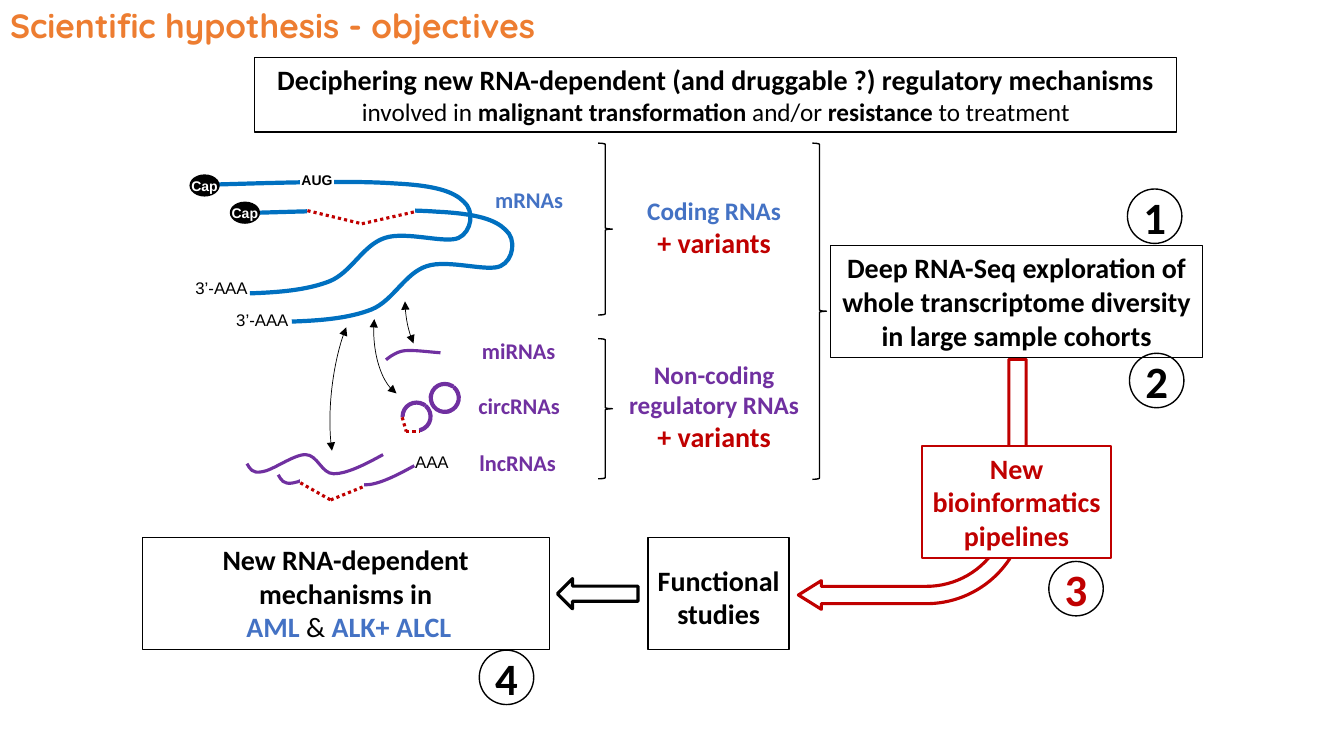
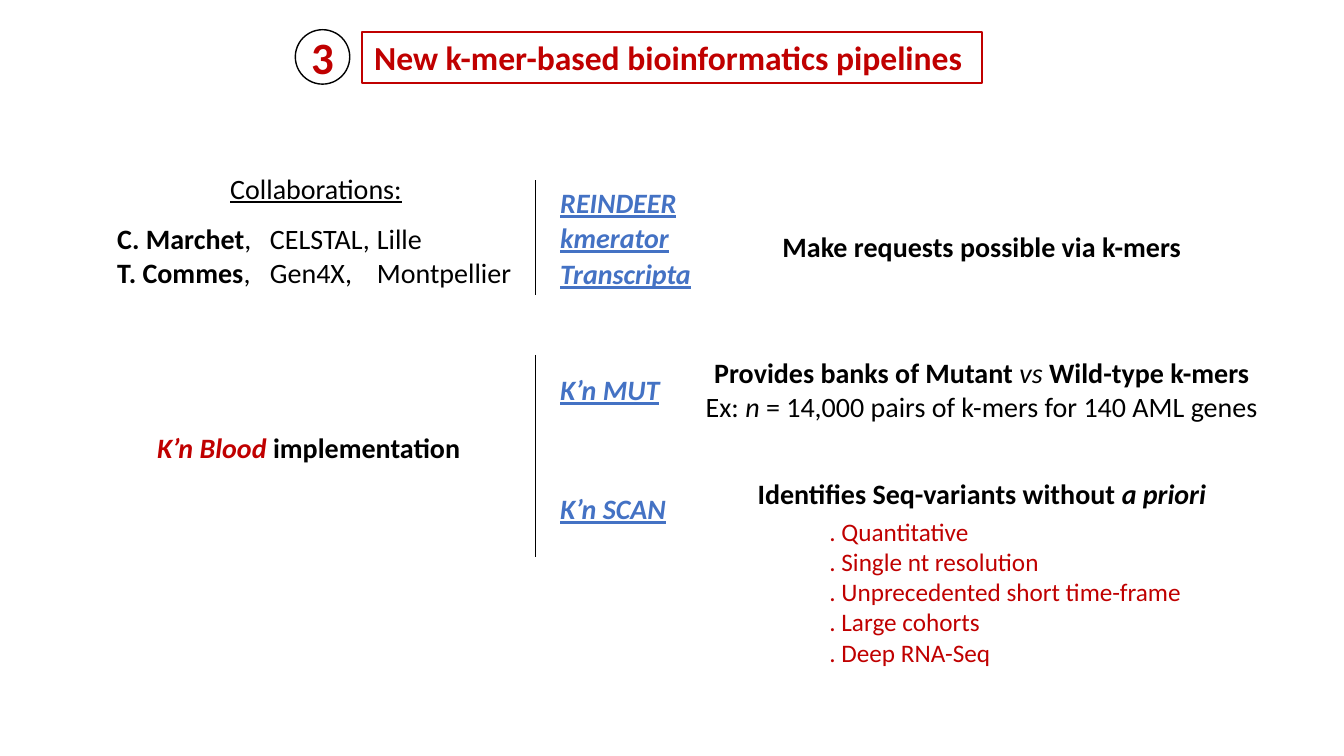
from lxml import etree
from pptx import Presentation
from pptx import util as u
from pptx.dml.color import RGBColor
from pptx.enum import dml, shapes, text
from pptx.oxml.ns import qn

COLS, ROWS = 133.33, 75
CELL = u.Inches(0.1)
INK, PAPER, RED, BLUE = "000000", "FFFFFF", "C00000", "4472C4"
PURPLE, STRAND, ORANGE = "7030A0", "0070C0", "ED7D31"
KIND = shapes.MSO_SHAPE
LEFT, CENTER = text.PP_ALIGN.LEFT, text.PP_ALIGN.CENTER
TOP, MIDDLE = text.MSO_ANCHOR.TOP, text.MSO_ANCHOR.MIDDLE
GROW, FIXED = text.MSO_AUTO_SIZE.SHAPE_TO_FIT_TEXT, text.MSO_AUTO_SIZE.NONE
BODY = dict(name="Calibri", size=20, bold=False, italic=False, underline=False, color=INK)
STRONG = dict(bold=True)
PLAIN = dict(bold=False)
VARIANTS = [("+ variants", dict(size=20, color=RED))]


def grid(*cells):
    return [round(cell * CELL) for cell in cells]


def color(value):
    return RGBColor.from_string(value)


def style_font(font, look):
    for key, value in look.items():
        if key == "color":
            font.color.rgb = color(value)
        else:
            setattr(font, key, u.Pt(value) if key == "size" else value)


def write(frame, lines, align=CENTER, anchor=TOP, wrap=False, fit=GROW, **look):
    settings = dict(word_wrap=wrap, auto_size=fit, vertical_anchor=anchor)
    for key, value in settings.items():
        setattr(frame, key, value)
    for index, line in enumerate(lines):
        paragraph = frame.paragraphs[0] if index == 0 else frame.add_paragraph()
        paragraph.alignment = align
        for part in [line] if isinstance(line, str) else line:
            words, extra = (part, {}) if isinstance(part, str) else part
            run = paragraph.add_run()
            run.text = words
            style_font(run.font, {**BODY, **look, **extra})


def label(slide, at, lines, **look):
    box = slide.shapes.add_textbox(*grid(*at))
    write(box.text_frame, lines, **look)
    return box.text_frame


def paint(item, fill, stroke, width):
    if fill:
        item.fill.solid()
        item.fill.fore_color.rgb = color(fill)
    else:
        item.fill.background()
    if stroke:
        item.line.color.rgb = color(stroke)
        item.line.width = u.Pt(width)
    else:
        item.line.fill.background()


def figure(slide, kind, at, fill=None, stroke=INK, width=1, turn=0, adjust=()):
    item = slide.shapes.add_shape(kind, *grid(*at))
    item.shadow.inherit = False
    item.rotation = turn
    for index, value in enumerate(adjust):
        item.adjustments[index] = value
    paint(item, fill, stroke, width)
    return item


def panel(slide, at, lines, fill=None, stroke=INK, width=0.75, **look):
    item = figure(slide, KIND.RECTANGLE, at, fill, stroke, width)
    write(item.text_frame, lines, **{**STRONG, **look})


def rule(slide, start, end, stroke=INK, width=0.5, dotted=False):
    line = slide.shapes.add_connector(
        shapes.MSO_CONNECTOR.STRAIGHT, *grid(*start, *end))
    line.line.color.rgb = color(stroke)
    line.line.width = u.Pt(width)
    if dotted:
        line.line.dash_style = dml.MSO_LINE.ROUND_DOT
    etree.SubElement(line.element.spPr, qn("a:effectLst"))


def dotted_path(slide, *points):
    for start, end in zip(points, points[1:]):
        rule(slide, start, end, RED, 2.25, True)


def curve(slide, points, stroke, width, shift=(0, 0)):
    moved = [(100 * (x + shift[0]), 100 * (y + shift[1])) for x, y in points]
    builder = slide.shapes.build_freeform(*moved[0], scale=CELL / 100)
    builder.add_line_segments(moved[1:], close=False)
    item = builder.convert_to_shape()
    item.shadow.inherit = False
    paint(item, None, stroke, width)
    outline = next(item.element.iter(qn("a:path")))
    segments = outline.findall(qn("a:lnTo"))
    for first in range(0, len(segments), 3):
        bend = etree.SubElement(outline, qn("a:cubicBezTo"))
        for segment in segments[first:first + 3]:
            bend.append(segment[0])
            outline.remove(segment)


def curved_arrow(slide, at, turn, adjust):
    arc = figure(slide, KIND.ARC, at, width=0.5, turn=turn, adjust=adjust)
    arc.element.spPr.find(qn("a:xfrm")).set("flipH", "1")
    outline = arc.element.spPr.find(qn("a:ln"))
    for end in ("a:headEnd", "a:tailEnd"):
        etree.SubElement(outline, qn(end), type="triangle")


def badge(slide, x, y, number, ink=INK):
    circle = figure(slide, KIND.OVAL, (x, y, 5.4, 5.4))
    write(circle.text_frame, [number], anchor=MIDDLE, fit=FIXED, size=32, bold=True, color=ink)


def cap(slide, x, y):
    oval = figure(slide, KIND.OVAL, (x, y, 3, 2.2), INK, None)
    write(oval.text_frame, ["Cap"], anchor=MIDDLE, fit=FIXED,
          name="Arial", size=10, bold=True, color=PAPER)


def titled_slide(deck, at, words, align, **look):
    slide = deck.slides.add_slide(deck.slide_layouts[5])
    title = slide.shapes.title
    title.left, title.top, title.width, title.height = grid(*at)
    write(title.text_frame, [words], align=align, fit=FIXED, size=24, bold=True, **look)
    return slide


def draw_messengers(slide):
    strand = [(21.6, 18.3), (28.4, 18.1), (35.1, 17.9), (39.2, 18.2),
              (43.2, 18.4), (45, 19), (46, 20), (47.1, 20.9), (46.8, 23),
              (45.5, 23.6), (44.2, 24.2), (40.3, 22.9), (38.2, 23.6),
              (36, 24.3), (34.9, 27), (32.7, 27.9), (30.4, 28.8),
              (27.6, 29), (24.8, 29.1)]
    curve(slide, strand, STRAND, 3, (4.15, 2.8))
    rule(slide, (30.5, 20.8), (41.2, 20.8), PAPER, 6)
    curve(slide, strand, STRAND, 3)
    rule(slide, (29.8, 18.1), (33.1, 18.1), PAPER, 6)
    label(slide, (27.95, 16.5, 7, 3.6), ["AUG"], name="Arial", size=10, bold=True)
    for x, y in ((18.8, 17.3), (22.8, 20)):
        cap(slide, x, y)
    dotted_path(slide, (30.5, 20.9), (35.9, 22.2), (41.2, 21))
    tails = (("3’-AAA", 18.4, 27.1, 9.8), ("3’-AAA", 22.45, 30.2, 9.8), ("AAA", 40.2, 44.3, 7.3))
    for words, x, y, width in tails:
        label(slide, (x, y, width, 4.1), [words], align=LEFT, name="Arial", size=12)


def draw_regulators(slide):
    curve(slide, [(43.7, 35), (42.3, 34.9), (41, 34.7), (40.1, 34.8),
                  (39.2, 34.9), (38.3, 35.7), (38.3, 35.7)], PURPLE, 2.25)
    for turn in (0, 131.1):
        figure(slide, KIND.BLOCK_ARC, (39.8, 39.8, 3.05, 3.05), PURPLE, PURPLE,
               turn=turn, adjust=(108, 183.15, 0.09))
    for turn in (245.7, 0, 131.1):
        figure(slide, KIND.BLOCK_ARC, (42.6, 37.95, 3.05, 3.05), PURPLE, PURPLE,
               turn=turn, adjust=(108, 183.15, 0.09))
    dotted_path(slide, (39.9, 41.4), (40.3, 42.8), (41.6, 42.8))
    strand = [(38, 45.1), (36.2, 46.1), (34.4, 47), (33.1, 47),
              (31.9, 47), (31.5, 45.1), (30.3, 45.1), (29.1, 45.1),
              (27, 46.7), (26, 46.8), (25, 47), (24.8, 46.5), (24.5, 46)]
    curve(slide, strand, PURPLE, 2.25, (3.1, 1.1))
    figure(slide, KIND.RECTANGLE, (29.8, 46, 6.2, 2.3), PAPER, PAPER)
    dotted_path(slide, (29.8, 47.9), (32.8, 49.6), (36, 48.3))
    curve(slide, strand, PURPLE, 2.25)
    curved_arrow(slide, (32.9, 29.8, 5.4, 18.1), 6.5, (172.56, 43.23))
    curved_arrow(slide, (37.1, 27.6, 11.7, 5.5), 266.1, (154.16, 197.28))
    curved_arrow(slide, (34, 30.7, 11.7, 5.5), 266.1, (139.68, 210.52))


def draw_classes(slide):
    names = ((" mRNAs", 52.25, 18, BLUE), ("miRNAs", 51.45, 33, PURPLE),
             ("circRNAs", 51.5, 38.4, PURPLE), ("lncRNAs", 51.35, 44.1, PURPLE))
    for words, middle, y, ink in names:
        label(slide, (middle - 5.25, y, 10.5, 3.7), [words], size=16, bold=True, color=ink)
    label(slide, (63.15, 18.9, 15.4, 7.4), ["Coding RNAs", VARIANTS],
          size=18, bold=True, color=BLUE)
    label(slide, (61.35, 35.15, 19, 10.4), ["Non-coding", "regulatory RNAs", VARIANTS],
          size=18, bold=True, color=PURPLE)
    for x, y, height in ((59.35, 14.2, 17.05), (59.35, 33.6, 13.9), (80.6, 14.2, 33.35)):
        figure(slide, KIND.RIGHT_BRACE, (x, y, 1.4, height))


def objectives(deck):
    slide = titled_slide(deck, (0, 0, 55.1, 5), "Scientific hypothesis - objectives",
                         LEFT, name="Quicksand", color=ORANGE)
    figure(slide, KIND.BENT_ARROW, (79.2, 35.65, 22.6, 24.8), PAPER, RED, 2.25,
           180, (0.076, 0.063, 0.101, 0.438))
    draw_classes(slide)
    panel(slide, (25.25, 5.7, 91.5, 7.4), [
        "Deciphering new RNA-dependent (and druggable ?) regulatory mechanisms",
        [(words, dict(size=18, bold=bold)) for words, bold in (
            ("involved in ", False), ("malignant transformation ", True),
            ("and/or ", False), ("resistance ", True), ("to treatment", False))],
    ], wrap=True)
    panel(slide, (82.4, 24.4, 36.9, 11.1), [
        "Deep RNA-Seq exploration of", "whole transcriptome diversity",
        "in large sample cohorts"])
    panel(slide, (91.45, 44.25, 18.8, 11.1), ["New", "bioinformatics", "pipelines"],
          PAPER, RED, 1.5, color=RED)
    figure(slide, KIND.RECTANGLE, (64.3, 53.35, 14, 11.1))
    label(slide, (64.2, 55.4, 14.2, 7.7), ["Functional", "studies"], bold=True)
    panel(slide, (14.1, 53.35, 40.4, 11.1), [
        "New RNA-dependent", "mechanisms in",
        [" ", ("AML ", dict(color=BLUE)), ("& ", PLAIN), ("ALK+ ALCL", dict(color=BLUE))],
    ], wrap=True)
    figure(slide, KIND.LEFT_ARROW, (55.3, 57.4, 8, 3), PAPER, INK, 2.25)
    draw_messengers(slide)
    draw_regulators(slide)
    badges = (("1", 111.85, 18.75, INK), ("2", 112.05, 35.05, INK),
              ("3", 104.05, 55.7, RED), ("4", 47.55, 64.5, INK))
    for number, x, y, ink in badges:
        badge(slide, x, y, number, ink)


def pipelines(deck):
    slide = titled_slide(deck, (35.9, 3.2, 61.55, 5),
                         "New k-mer-based bioinformatics pipelines ", CENTER, color=RED)
    paint(slide.shapes.title, PAPER, RED, 1.5)
    badge(slide, 29.3, 2.95, "3", RED)
    for top, bottom in ((17.9, 29.3), (35.2, 55.3)):
        rule(slide, (53.1, top), (53.1, bottom))
    tools = (("REINDEER", 17.9), ("kmerator", 21.4), ("Transcripta", 24.95),
             ("K’n MUT", 36.5), ("K’n SCAN", 48.3))
    for tool, y in tools:
        label(slide, (54.6, y, 15.4, 4.4), [tool], align=LEFT, wrap=True,
              bold=True, italic=True, underline=True, color=BLUE)
    partners = label(slide, (10.65, 16.5, 41.4, 12.8), [
        [("Collaborations:", dict(underline=True))],
        [("C. Marchet", STRONG), ",\tCELSTAL,\tLille"],
        [("T. Commes", STRONG), ",\tGen4X,\tMontpellier"],
    ], align=LEFT, wrap=True)
    heading, *people = partners.paragraphs
    heading.alignment = CENTER
    heading.space_after = u.Pt(12)
    for person in people:
        stops = etree.SubElement(person._p.get_or_add_pPr(), qn("a:tabLst"))
        for column in (15.15, 25.75):
            etree.SubElement(stops, qn("a:tab"), pos=str(grid(column)[0]), algn="l")
    label(slide, (14.6, 42.25, 33.5, 4.4), [
        [("K’n Blood ", dict(italic=True, color=RED)), "implementation"]],
        align=LEFT, bold=True)
    label(slide, (76, 22.3, 42.8, 4.4), ["Make requests possible via k-mers"], bold=True)
    label(slide, (68.75, 34.8, 57.3, 7.7), [
        [("Provides banks of Mutant ", STRONG), ("vs", dict(italic=True)),
         (" Wild-type k-mers", STRONG)],
        ["Ex: ", ("n", dict(italic=True)), " = 14,000 pairs of k-mers for 140 AML genes"]])
    label(slide, (73.65, 46.8, 47.5, 4.4), [
        ["Identifies Seq-variants without ", ("a priori", dict(italic=True))]], bold=True)
    label(slide, (81.3, 50.7, 37.3, 16.2), [
        ". Quantitative", ". Single nt resolution", ". Unprecedented short time-frame",
        ". Large cohorts", ". Deep RNA-Seq"], align=LEFT, size=18, color=RED)


def main():
    deck = Presentation()
    deck.slide_width, deck.slide_height = grid(COLS, ROWS)
    objectives(deck)
    pipelines(deck)
    deck.save("out.pptx")


if __name__ == "__main__":
    main()
